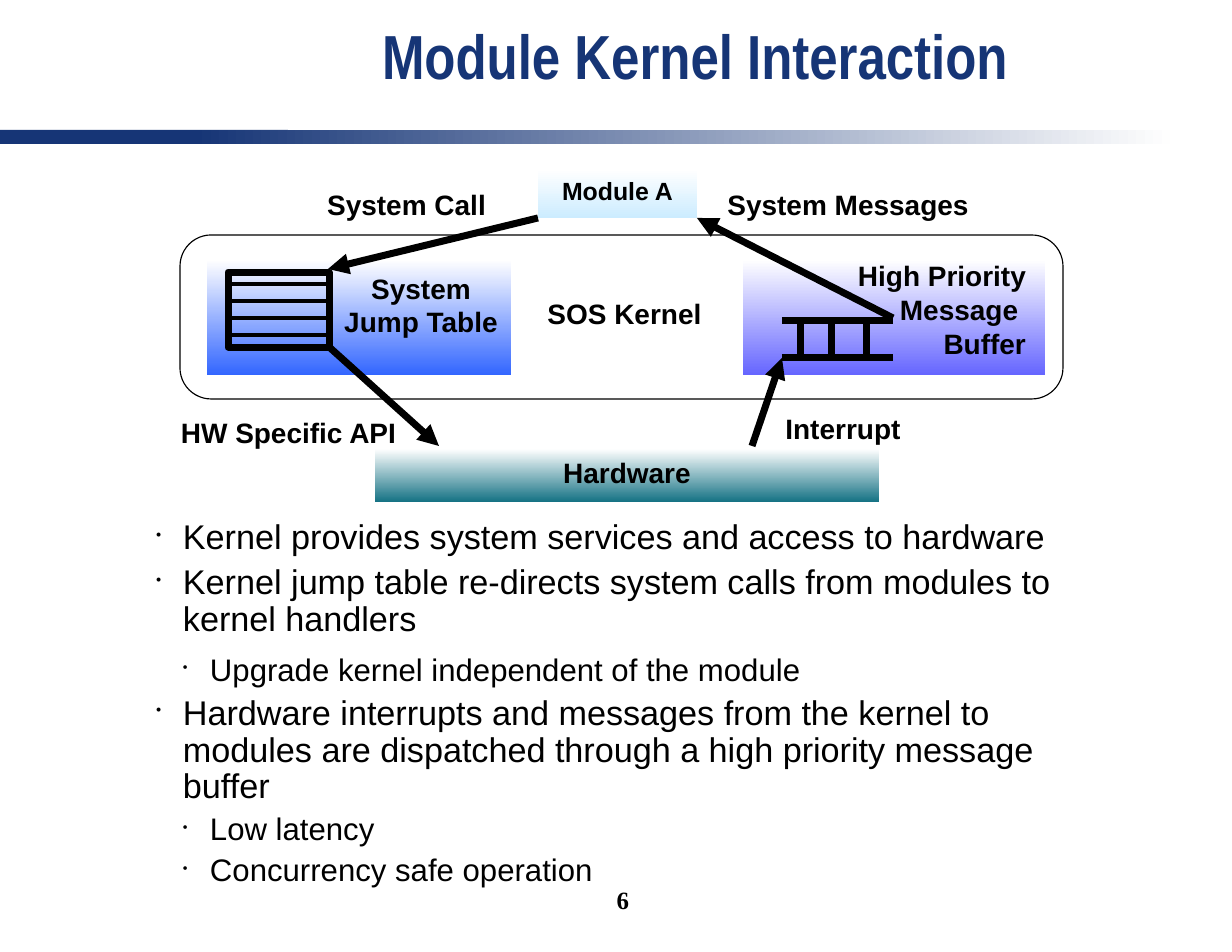
from lxml.etree import SubElement
from pptx import Presentation
from pptx.dml.color import RGBColor
from pptx.enum.shapes import MSO_CONNECTOR, MSO_SHAPE
from pptx.enum.text import MSO_ANCHOR, PP_ALIGN
from pptx.oxml.ns import qn
from pptx.util import Emu, Pt

BLACK, WHITE, NAVY = "000000", "FFFFFF", "163576"
DOWN, LEFTWARD = 270, 180


def px(length):
    return Emu(round(length * 914400 / 112))


def color(value):
    return RGBColor.from_string(value)


class SlideBuilder:
    font = "Arial"
    label_size = 18
    thick = 4.5

    def __init__(self, slide):
        self.shapes = slide.shapes

    def block(self, left, top, width, height, fill=None, gradient=None,
              angle=DOWN, line=None, corner=0):
        block = self.shapes.add_shape(MSO_SHAPE.ROUNDED_RECTANGLE,
                                      px(left), px(top), px(width), px(height))
        block.shadow.inherit = False
        block.adjustments[0] = corner
        if gradient:
            block.fill.gradient()
            block.fill.gradient_angle = angle
            for stop, value in zip(block.fill.gradient_stops, gradient):
                stop.color.rgb = color(value)
        elif fill:
            block.fill.solid()
            block.fill.fore_color.rgb = color(fill)
        else:
            block.fill.background()
        if line:
            block.line.color.rgb = color(BLACK)
            block.line.width = Pt(line)
        else:
            block.line.fill.background()
        return block

    def set_lines(self, frame, lines, size=label_size, align=PP_ALIGN.CENTER,
                  font=font, ink=BLACK, spacing=0.8):
        for i, line in enumerate(lines):
            paragraph = frame.paragraphs[0] if i == 0 else frame.add_paragraph()
            paragraph.text = line
            paragraph.alignment = align
            paragraph.line_spacing = spacing
            if i:
                paragraph.space_before = Pt(4.5)
            paragraph.font.name = font
            paragraph.font.size = Pt(size)
            paragraph.font.bold = True
            paragraph.font.color.rgb = color(ink)

    def label(self, left, top, width, height, *lines, wrap=False,
              anchor=MSO_ANCHOR.TOP, **style):
        frame = self.shapes.add_textbox(px(left), px(top), px(width), px(height)).text_frame
        frame.word_wrap = wrap
        frame.vertical_anchor = anchor
        self.set_lines(frame, lines, **style)

    def titled_block(self, left, top, width, height, text, gradient, size=label_size):
        frame = self.block(left, top, width, height, gradient=gradient).text_frame
        frame.word_wrap = True
        frame.vertical_anchor = MSO_ANCHOR.MIDDLE
        self.set_lines(frame, [text], size=size)

    def line(self, x1, y1, x2, y2, weight=thick, arrow=False):
        line = self.shapes.add_connector(MSO_CONNECTOR.STRAIGHT,
                                         px(x1), px(y1), px(x2), px(y2))
        line.line.color.rgb = color(BLACK)
        line.line.width = Pt(weight)
        if arrow:
            SubElement(line.get_or_add_ln(), qn("a:tailEnd"), type="triangle")
        SubElement(line._element.spPr, qn("a:effectLst"))

    def bullets(self, left, top, width, height, items):
        frame = self.shapes.add_textbox(px(left), px(top), px(width), px(height)).text_frame
        frame.word_wrap = True
        for i, (level, before, spacing, text) in enumerate(items):
            paragraph = frame.paragraphs[0] if i == 0 else frame.add_paragraph()
            paragraph.text = text
            paragraph.level = level
            properties = paragraph._p.get_or_add_pPr()
            properties.set("marL", str(px(53 + 27 * level)))
            properties.set("indent", str(px(-27)))
            bullet_color = SubElement(properties, qn("a:buClr"))
            SubElement(bullet_color, qn("a:srgbClr"), val=BLACK)
            SubElement(properties, qn("a:buSzPct"), val="45000")
            SubElement(properties, qn("a:buChar"), char="•")
            paragraph.line_spacing = spacing
            if i:
                paragraph.space_before = Pt(before)
            paragraph.font.name = self.font
            paragraph.font.size = Pt(22 - 2 * level)
            paragraph.font.color.rgb = color(BLACK)


def main():
    deck = Presentation()
    deck.slide_width, deck.slide_height = px(1232), px(952)
    page = SlideBuilder(deck.slides.add_slide(deck.slide_layouts[6]))

    page.label(495, 868, 256, 64, "6", anchor=MSO_ANCHOR.MIDDLE, size=16,
               font="Times New Roman", spacing=1.0)
    page.block(0, 130, 288, 14, fill=NAVY)
    page.block(194, 130, 976, 14, gradient=("FEFEFE", NAVY), angle=LEFTWARD)
    page.label(233, 9, 924, 110, "Module Kernel Interaction", wrap=True,
               anchor=MSO_ANCHOR.MIDDLE, size=40, font="Arial Narrow",
               ink=NAVY, spacing=0.7)

    page.bullets(119, 515, 990, 380, [
        (0, 5, 0.9, "Kernel provides system services and access to hardware"),
        (0, 5, 0.9, "Kernel jump table re-directs system calls from modules to kernel handlers"),
        (1, 7.3, 1.0, "Upgrade kernel independent of the module"),
        (0, 5, 0.9, "Hardware interrupts and messages from the kernel to modules "
                    "are dispatched through a high priority message buffer"),
        (1, 4.8, 0.9, "Low latency"),
        (1, 4.8, 0.9, "Concurrency safe operation"),
    ])

    page.block(207, 260, 304, 115, gradient=(WHITE, "3366FF"))
    page.titled_block(538, 169, 159, 49, "Module A", (WHITE, "CCECFF"), size=16)
    page.block(228, 272, 101, 75, line=page.thick)
    for row in range(4):
        y = 284 + 17 * row
        page.line(228, y, 329, y, weight=2.25)
    page.label(332, 272, 178, 72, "System", "Jump Table")
    page.titled_block(375, 449, 504, 53, "Hardware", (WHITE, "157284"))

    page.block(743, 260, 302, 115, gradient=(WHITE, "6666FF"))
    for rail in (321, 358):
        page.line(782, rail, 893, rail)
    for divider in (801, 832, 867):
        page.line(divider, 321, divider, 358)
    page.label(802, 260, 235, 106, "High Priority", "Message ", "Buffer",
               wrap=True, align=PP_ALIGN.RIGHT)

    for arrow in ((538, 218, 328, 269), (328, 346, 439, 446),
                  (752, 446, 782, 358), (893, 318, 697, 218)):
        page.line(*arrow, arrow=True)

    page.block(180, 235, 883, 164, line=0.75, corner=0.19)
    for left, top, width, text in ((316, 189, 181, "System Call"),
                                   (716, 189, 264, "System Messages"),
                                   (536, 297, 177, "SOS Kernel"),
                                   (169, 417, 239, "HW Specific API"),
                                   (774, 412, 138, "Interrupt")):
        page.label(left, top, width, 38, text)

    deck.save("out.pptx")


if __name__ == "__main__":
    main()
